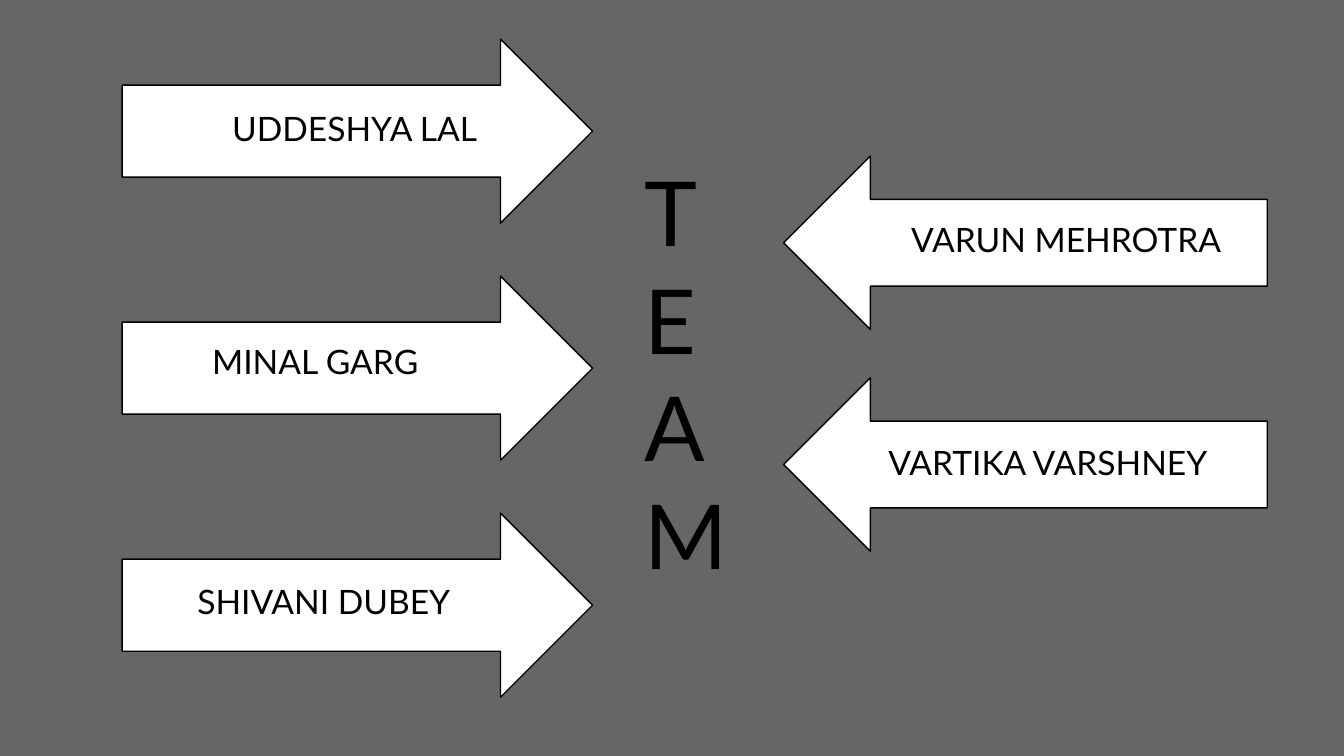
from pptx import Presentation
from pptx.dml.color import RGBColor
from pptx.enum import shapes
from pptx.util import Cm, Pt

COLORS = {"background": "666666", "arrow": "FFFFFF", "ink": "000000"}
INDENT = Cm(1.27)

# Columns of arrows; lengths in centimetres
ARROW_COLUMNS = [
    {"kind": shapes.MSO_SHAPE.RIGHT_ARROW, "count": 3, "left": 2.31,
     "top": 0.74, "pitch": 4.48, "width": 8.89, "height": 3.48},
    {"kind": shapes.MSO_SHAPE.LEFT_ARROW, "count": 2, "left": 14.81,
     "top": 2.95, "pitch": 4.19, "width": 9.14, "height": 3.28},
]

# Lines, (left, top, width, height) in centimetres, text size, indented
LABELS = [
    (["UDDESHYA LAL"], (2.87, 1.8, 6.5, 0.86), 18, True),
    (["VARUN MEHROTRA"], (15.7, 3.89, 7.98, 1.42), 18, True),
    (["MINAL GARG"], (2.49, 6.2, 16.36, 1.9), 18, True),
    (["VARTIKA VARSHNEY"], (16.54, 8.1, 16.36, 1.9), 18, False),
    (["SHIVANI DUBEY"], (3.48, 10.74, 16.36, 1.9), 18, False),
    (list("TEAM"), (11.94, 2.72, 2.16, 8.86), 48, False),
]

FRAME_FORMAT = {"word_wrap": True, "margin_left": Cm(0.25), "margin_right": Cm(0.25),
                "margin_top": Cm(0.25), "margin_bottom": Cm(0.25)}


def color(name):
    return RGBColor.from_string(COLORS[name])


def add_arrow_column(slide, column):
    for row in range(column["count"]):
        top = column["top"] + row * column["pitch"]
        arrow = slide.shapes.add_shape(
            column["kind"], Cm(column["left"]), Cm(top),
            Cm(column["width"]), Cm(column["height"]))
        arrow.shadow.inherit = False
        arrow.fill.solid()
        arrow.fill.fore_color.rgb = color("arrow")
        arrow.line.color.rgb = color("ink")
        arrow.line.width = Pt(0.75)


def add_label(slide, lines, box, size, indented):
    frame = slide.shapes.add_textbox(*map(Cm, box)).text_frame
    for name, value in FRAME_FORMAT.items():
        setattr(frame, name, value)
    frame.text = "\n".join(lines)
    for paragraph in frame.paragraphs:
        if indented:
            paragraph._p.get_or_add_pPr().set("marL", str(INDENT))
        font = paragraph.runs[0].font
        for name, value in {"name": "Lato", "size": Pt(size)}.items():
            setattr(font, name, value)
        font.color.rgb = color("ink")


def main():
    presentation = Presentation()
    presentation.slide_width, presentation.slide_height = Cm(25.4), Cm(14.29)
    slide = presentation.slides.add_slide(presentation.slide_layouts[6])
    slide.background.fill.solid()
    slide.background.fill.fore_color.rgb = color("background")
    for column in ARROW_COLUMNS:
        add_arrow_column(slide, column)
    for label in LABELS:
        add_label(slide, *label)
    presentation.save("out.pptx")


if __name__ == "__main__":
    main()
